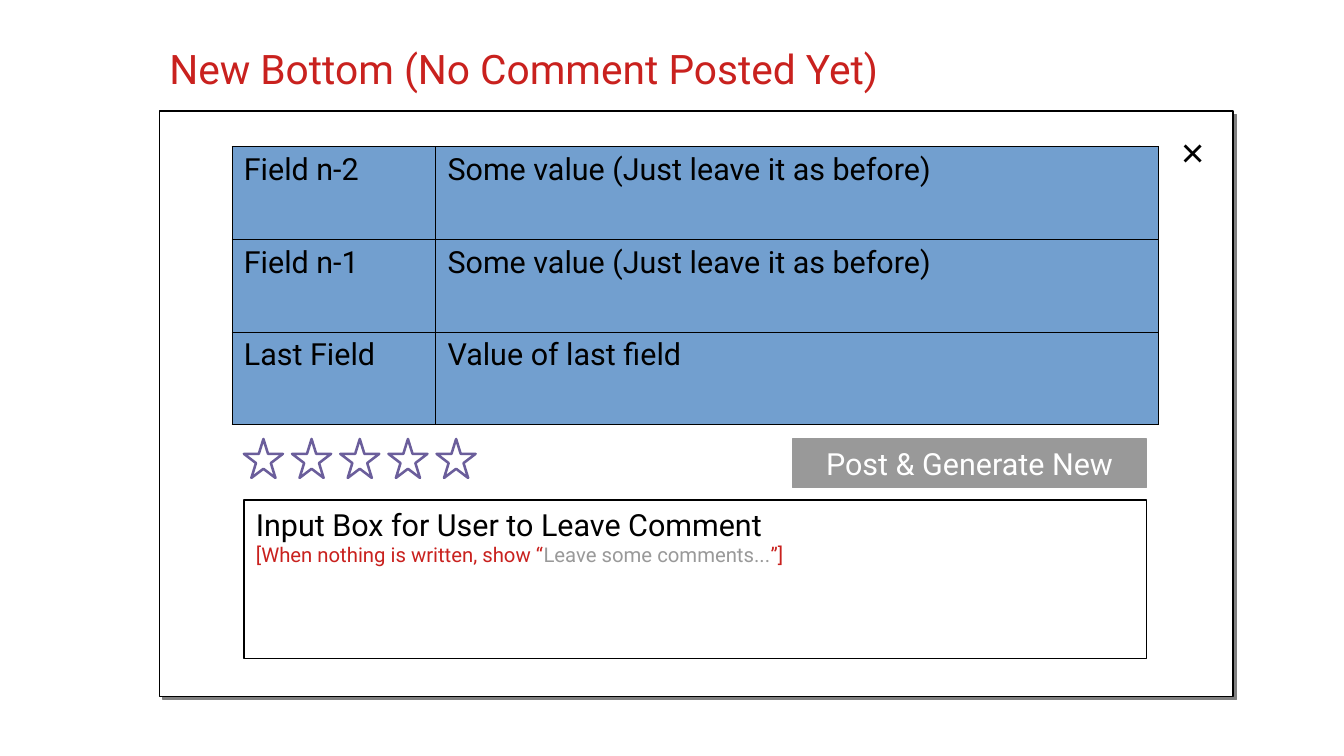
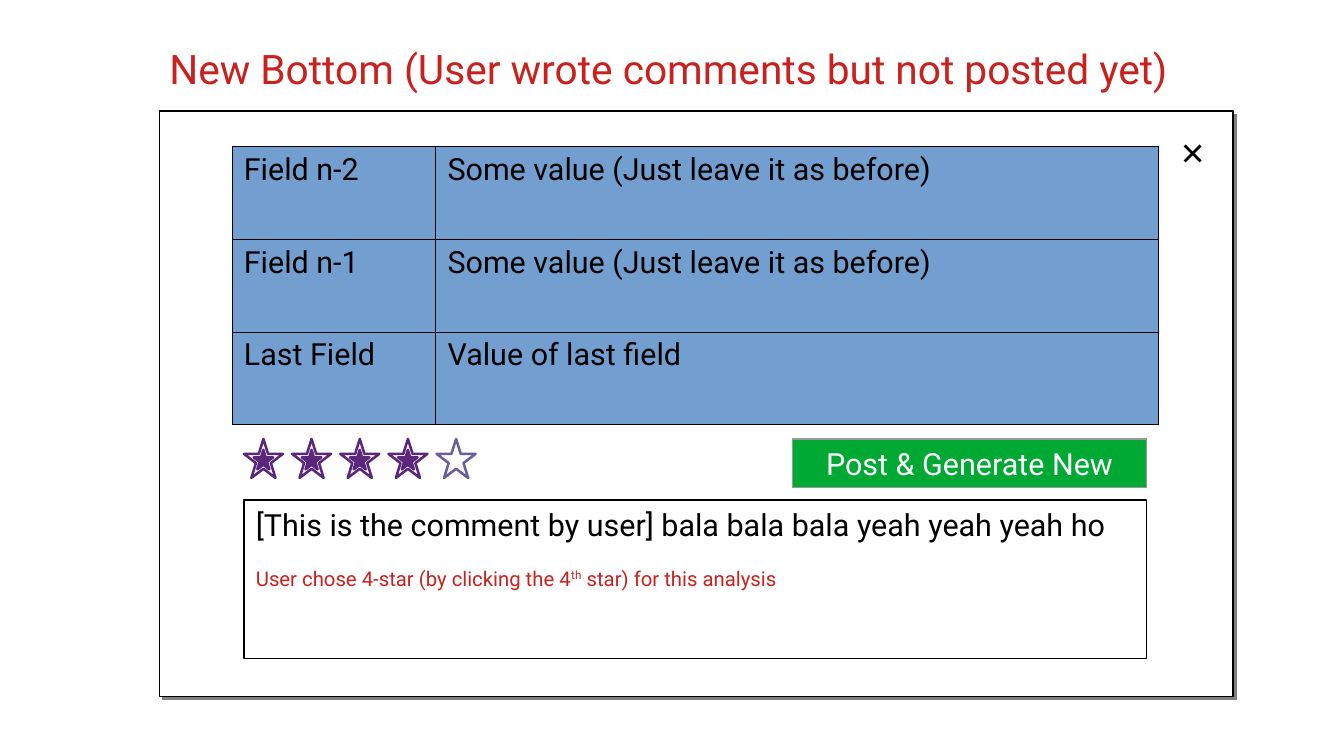
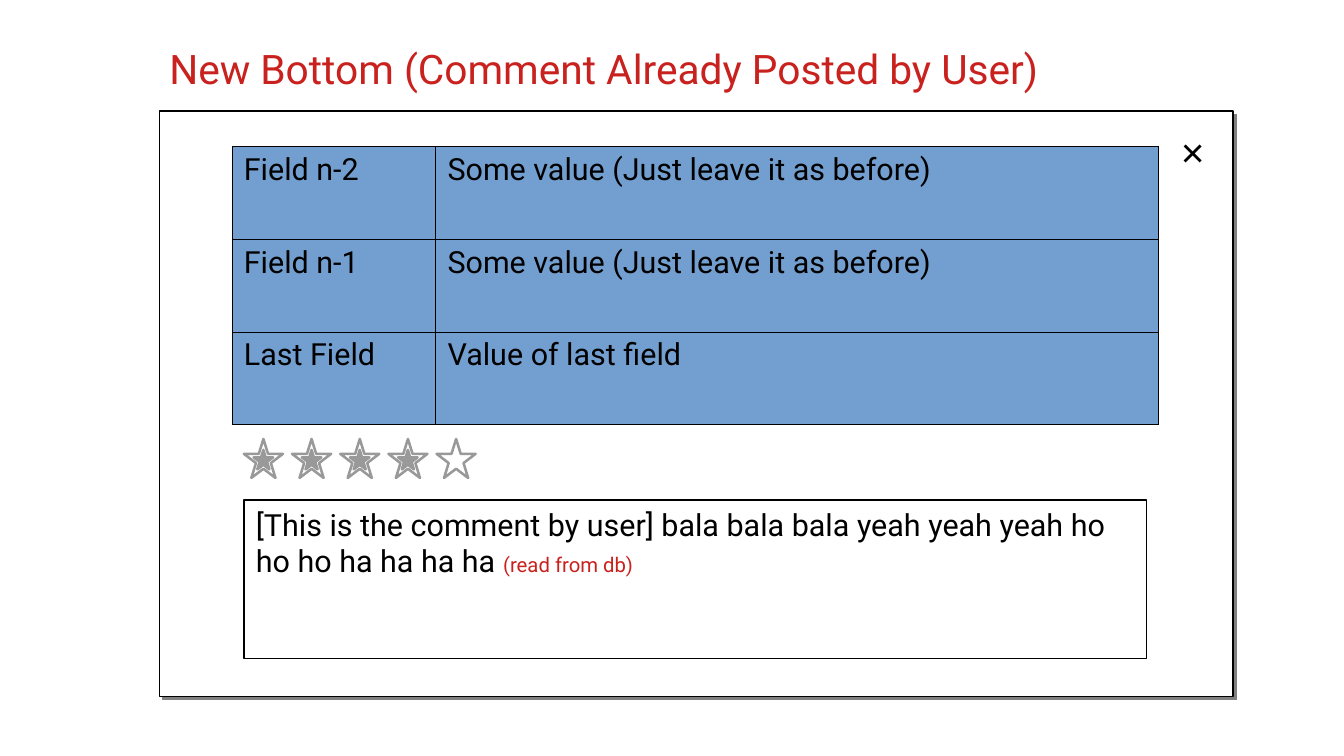
from lxml import etree
from pptx import Presentation
from pptx.dml.color import RGBColor
from pptx.enum.shapes import MSO_SHAPE
from pptx.enum.text import MSO_ANCHOR, PP_ALIGN
from pptx.oxml.ns import qn
from pptx.util import Inches, Pt

RECT, STAR = MSO_SHAPE.RECTANGLE, MSO_SHAPE.STAR_5_POINT
LEFT, CENTER = PP_ALIGN.LEFT, PP_ALIGN.CENTER
TOP, MIDDLE = MSO_ANCHOR.TOP, MSO_ANCHOR.MIDDLE

FONT = "Roboto"
BLACK, WHITE, RED, GRAY = "000000", "FFFFFF", "C9211E", "999999"
BLUE, LILAC, PURPLE, GREEN = "729FCF", "6B5E9B", "5B277D", "00A933"
SHADOW = "808080"

CARD = (1.31, 0.91, 8.8, 4.8)
FIELDS = [
    ("Field n-2", "Some value (Just leave it as before)"),
    ("Field n-1", "Some value (Just leave it as before)"),
    ("Last Field", "Value of last field"),
]
STAR_COUNT, STAR_SIZE, STAR_STEP = 5, 0.32, 1.58 / 4
COMMENT = "[This is the comment by user] bala bala bala yeah yeah yeah ho"


def rgb(color):
    return RGBColor.from_string(color)


def inches(*lengths):
    return [Inches(v) for v in lengths]


def add_run(p, text, size=18, color=BLACK, font=FONT, superscript=False):
    r = p.add_run()
    r.text = text
    r.font.size, r.font.name = Pt(size), font
    r.font.color.rgb = rgb(color)
    if superscript:
        r.font._element.set("baseline", "33000")


def write(sp, paragraphs, align=LEFT, anchor=TOP):
    """Fill a shape with paragraphs, each a (space before, runs) pair."""
    tf = sp.text_frame
    tf.word_wrap, tf.vertical_anchor = True, anchor
    for i, (space, runs) in enumerate(paragraphs):
        p = tf.paragraphs[0] if i == 0 else tf.add_paragraph()
        p.alignment, p.space_before = align, Pt(space)
        for run in runs:
            add_run(p, **run)


def add_text(slide, box, run, align=LEFT, anchor=TOP):
    sp = slide.shapes.add_textbox(*inches(*box))
    write(sp, [(0, [run])], align, anchor)


def add_shape(slide, kind, box, fill, line, width):
    sp = slide.shapes.add_shape(kind, *inches(*box))
    sp.shadow.inherit = False
    if fill:
        sp.fill.solid()
        sp.fill.fore_color.rgb = rgb(fill)
    else:
        sp.fill.background()
    sp.line.color.rgb = rgb(line)
    sp.line.width = Pt(width)
    return sp


def add_solid(parent, color):
    fill = etree.SubElement(parent, qn("a:solidFill"))
    etree.SubElement(fill, qn("a:srgbClr"), val=color)


def add_card(slide, box):
    left, top, width, height = box
    sp = add_shape(slide, RECT, box, WHITE, BLACK, 0)
    effects = sp._element.spPr.find(qn("a:effectLst"))
    shadow = etree.SubElement(effects, qn("a:outerShdw"), blurRad="0",
                              dist=str(Pt(2.8)), dir="2700000",
                              algn="tl", rotWithShape="0")
    etree.SubElement(shadow, qn("a:srgbClr"), val=SHADOW)
    side = 0.66
    add_text(slide, (left + width - side, top, side, side),
             dict(text="×", size=24, font="Arial"), CENTER, MIDDLE)


def add_borders(cell):
    tc_pr = cell._tc.get_or_add_tcPr()
    for i, tag in enumerate(("a:lnL", "a:lnR", "a:lnT", "a:lnB")):
        ln = etree.Element(qn(tag), w=str(Pt(0.06)))
        add_solid(ln, BLACK)
        tc_pr.insert(i, ln)


def add_fields(slide, left, top):
    widths, row_height = (1.67, 5.93), 0.76
    table = slide.shapes.add_table(
        len(FIELDS), len(widths),
        *inches(left, top, sum(widths), row_height * len(FIELDS))).table
    table.first_row = table.horz_banding = False
    for column, width in zip(table.columns, widths):
        column.width = Inches(width)
    for row, texts in zip(table.rows, FIELDS):
        row.height = Inches(row_height)
        for cell, text in zip(row.cells, texts):
            cell.fill.solid()
            cell.fill.fore_color.rgb = rgb(BLUE)
            add_borders(cell)
            add_run(cell.text_frame.paragraphs[0], text)


def add_rating(slide, left, top, score, chosen, empty):
    core = STAR_SIZE / 2
    for i in range(STAR_COUNT):
        x = left + i * STAR_STEP
        color = chosen if i < score else empty
        add_shape(slide, STAR, (x, top, STAR_SIZE, STAR_SIZE), None, color, 1.5)
        if i < score:
            add_shape(slide, STAR, (x + 0.08, top + 0.09, core, core),
                      color, color, 1.5)


def add_button(slide, left, top, fill):
    sp = add_shape(slide, RECT, (left, top, 2.9, 0.4), fill, GRAY, 0)
    write(sp, [(0, [dict(text="Post & Generate New", color=WHITE)])],
          CENTER, MIDDLE)


def add_comment(slide, left, top, paragraphs):
    sp = add_shape(slide, RECT, (left, top, 7.4, 1.3), None, BLACK, 0.79)
    write(sp, paragraphs)


def add_state(prs, title, rating, comment, button=None):
    """Add a slide showing the dialog in one state of the comment form."""
    slide = prs.slides.add_slide(prs.slide_layouts[6])
    left, top = CARD[:2]
    add_text(slide, (left - 0.02, top - 0.6, 8.87, 0.55),
             dict(text=title, size=24, color=RED))
    add_card(slide, CARD)
    add_fields(slide, left + 0.59, top + 0.29)
    add_rating(slide, left + 0.69, top + 2.69, *rating)
    add_comment(slide, left + 0.69, top + 3.19, comment)
    if button:
        add_button(slide, left + 5.19, top + 2.69, button)


def note(text, color=RED, **style):
    return dict(text=text, size=12, color=color, **style)


def main():
    prs = Presentation()
    prs.slide_width, prs.slide_height = inches(11.02, 6.2)
    add_state(prs, "New Bottom (No Comment Posted Yet)", (0, PURPLE, LILAC), [
        (0, [dict(text="Input Box for User to Leave Comment")]),
        (0, [note("[When nothing is written, show “"),
             note("Leave some comments...", GRAY),
             note("”]")]),
    ], GRAY)
    add_state(prs, "New Bottom (User wrote comments but not posted yet)",
              (4, PURPLE, LILAC), [
        (0, [dict(text=COMMENT)]),
        (14, [note("User chose 4-star (by clicking the 4"),
              note("th", superscript=True),
              note(" star) for this analysis")]),
    ], GREEN)
    add_state(prs, "New Bottom (Comment Already Posted by User)",
              (4, GRAY, GRAY), [
        (0, [dict(text=COMMENT)]),
        (0, [dict(text="ho ho ha ha ha ha "), note("(read from db)")]),
    ])
    prs.save("out.pptx")


if __name__ == "__main__":
    main()
